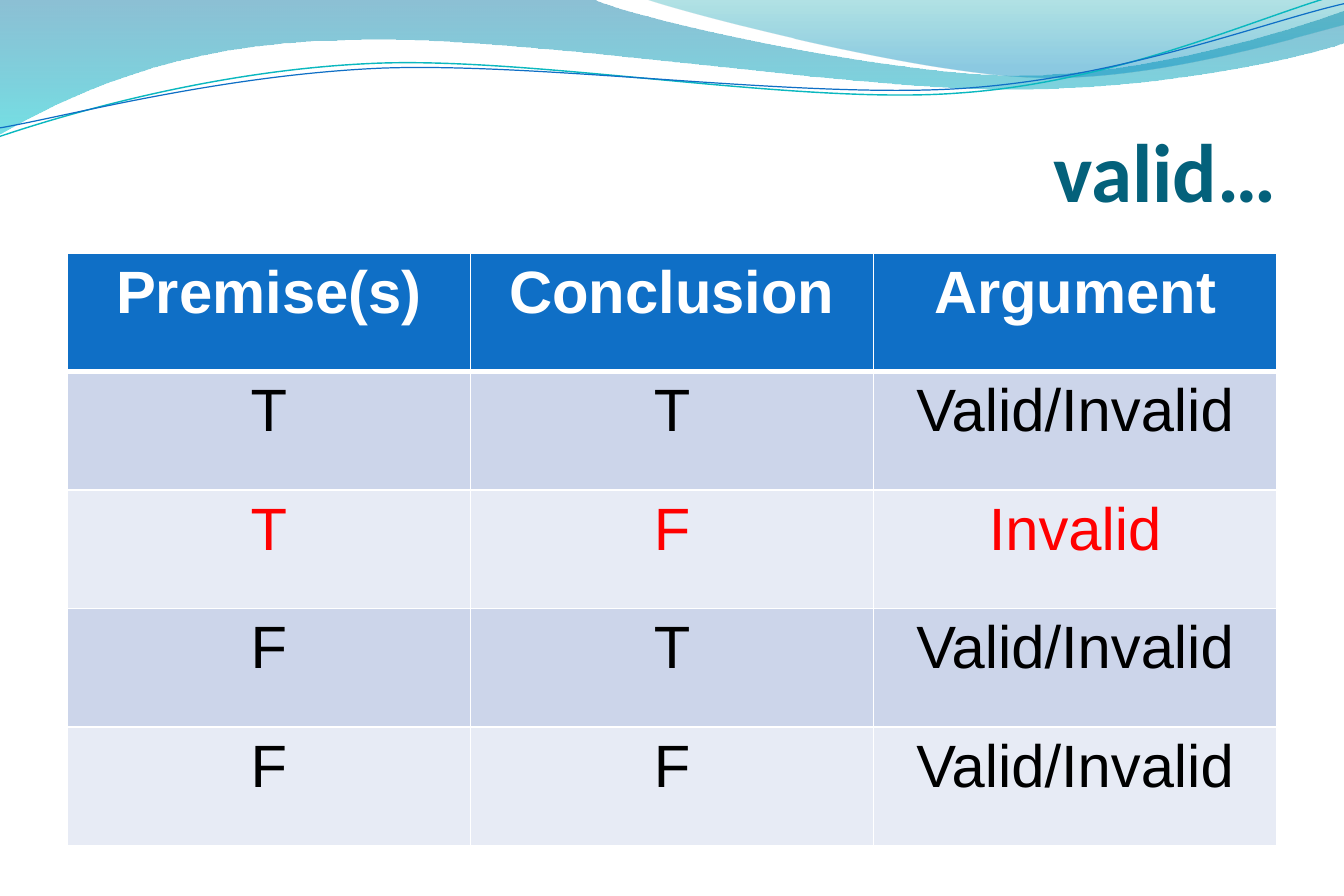
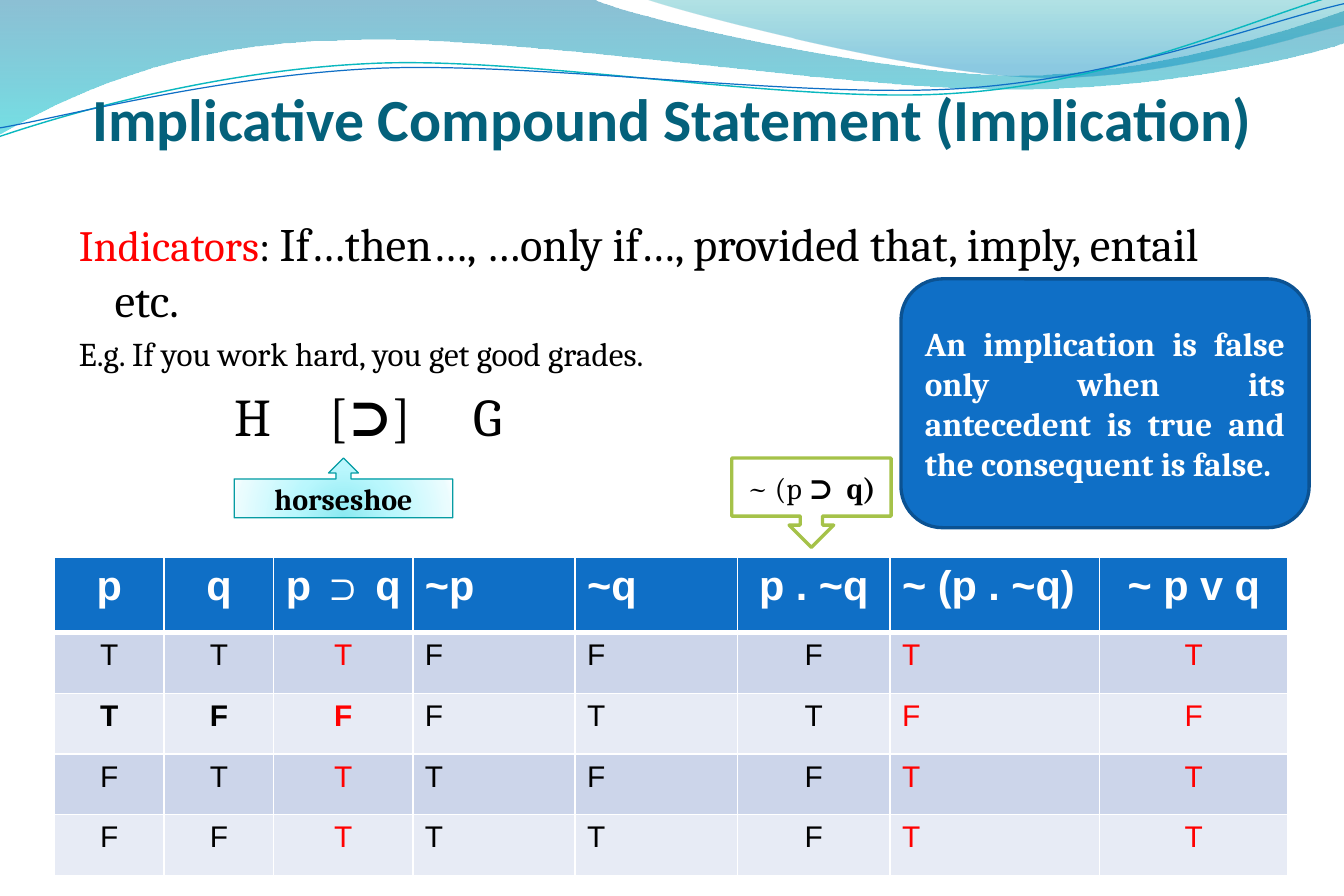
from lxml import etree
from pptx import Presentation
from pptx.dml.color import RGBColor
from pptx.enum.shapes import MSO_SHAPE
from pptx.enum.text import MSO_ANCHOR, PP_ALIGN
from pptx.oxml.ns import qn
from pptx.util import Cm, Pt

LEFT, CENTER, RIGHT, JUSTIFY = PP_ALIGN.LEFT, PP_ALIGN.CENTER, PP_ALIGN.RIGHT, PP_ALIGN.JUSTIFY
MIDDLE = MSO_ANCHOR.MIDDLE
ROUNDED = MSO_SHAPE.ROUNDED_RECTANGLE
UP_CALLOUT, DOWN_CALLOUT = MSO_SHAPE.UP_ARROW_CALLOUT, MSO_SHAPE.DOWN_ARROW_CALLOUT

# Shared look
BLUE, TEAL, RED, BLACK, WHITE = "0F6FC6", "04617B", "FF0000", "000000", "FFFFFF"
BANDS = ("CCD5EA", "E7EBF5")
TITLE_FONT, BODY_FONT, TABLE_FONT = "Calibri", "Cambria", "Arial"
TITLE_LEFT, TITLE_WIDTH, TITLE_HEIGHT = 1.43, 25.72, 3.18

# Wave outlines in cm: a start, then one point for a line or three for a curve
BROAD_WAVE = [
    [(0, -0.03)],
    [(12.57, -0.03)],
    [(13.59, 0.43), (18.95, 1.6), (21.67, 1.6)],
    [(24.38, 1.6), (27.38, 0.66), (28.58, 0.23)],
    [(28.6, 0.91)],
    [(28.09, 1.12), (24.87, 1.93), (21.31, 1.9)],
    [(17.78, 1.9), (10.9, 0.71), (7.34, 0.86)],
    [(3.68, 0.89), (1.32, 2.11), (-0.03, 2.87)],
]
RIGHT_WAVE = [
    [(13.69, -0.03)],
    [(14.55, 0.28), (19.48, 1.57), (21.97, 1.65)],
    [(24.46, 1.75), (27.48, 0.81), (28.58, 0.53)],
    [(28.58, 0)],
]
TEAL_LINE = [
    [(0, 2.9)],
    [(1.37, 2.44), (4.52, 1.5), (7.9, 1.35)],
    [(11.3, 1.19), (16.92, 2.24), (20.37, 1.98)],
    [(23.8, 1.75), (26.82, 0.33), (28.52, -0.13)],
]
BLUE_LINE = [
    [(0, 2.72)],
    [(1.35, 2.49), (4.67, 1.6), (8.1, 1.45)],
    [(11.51, 1.32), (17.07, 2.11), (20.47, 1.88)],
    [(23.9, 1.65), (26.9, 0.46), (28.58, 0.08)],
]


def colour(value):
    return RGBColor.from_string(value)


def add_child(parent, tag, **attributes):
    child = etree.SubElement(parent, qn(tag))
    for name, value in attributes.items():
        child.set(name, str(value))
    return child


def add_colour(parent, value, opacity=100):
    node = add_child(parent, "a:srgbClr", val=value)
    if opacity < 100:
        add_child(node, "a:alpha", val=opacity * 1000)


def add_span(para, text, size=18, font=BODY_FONT, color=BLACK, bold=False):
    span = para.add_run()
    span.text = text
    span.font.size = Pt(size)
    span.font.name = font
    span.font.bold = bold
    span.font.color.rgb = colour(color)


def set_line(shape, color, width):
    shape.line.color.rgb = colour(color)
    shape.line.width = Pt(width)


def set_gradient(shape, stops, radial=False):
    """Stops are (percent, colour, opacity); runs downwards unless radial."""
    shape.fill.gradient()
    gradient = shape.element.spPr.find(qn("a:gradFill"))
    gradient.clear()
    stop_list = add_child(gradient, "a:gsLst")
    for position, color, opacity in stops:
        add_colour(add_child(stop_list, "a:gs", pos=position * 1000), color, opacity)
    if radial:
        circle = add_child(gradient, "a:path", path="circle")
        add_child(circle, "a:fillToRect", l=50000, t=130000, r=50000, b=-30000)
    else:
        add_child(gradient, "a:lin", ang=5400000, scaled=1)


# Waves, kept on the layout
def add_wave(page, outline, closed):
    points = [(Cm(x), Cm(y)) for segment in outline for x, y in segment]
    builder = page.shapes.build_freeform(*points[0])
    builder.add_line_segments(points[1:], close=closed)
    wave = builder.convert_to_shape()
    wave.shadow.inherit = False
    # Turn each run of three corners into one smooth curve
    corners = iter(list(wave.element.spPr.iter(qn("a:lnTo"))))
    for segment in outline[1:]:
        parts = [next(corners) for _ in segment]
        if len(parts) == 3:
            curve = etree.Element(qn("a:cubicBezTo"))
            parts[0].addprevious(curve)
            for part in parts:
                curve.append(part[0])
                part.getparent().remove(part)
    return wave


def add_waves(page):
    waves = []
    for outline, stops in (
        (BROAD_WAVE, [(0, "0074A1", 45), (100, "00C6CF", 55)]),
        (RIGHT_WAVE, [(0, "00A1A9", 30), (80, "008BBF", 45)]),
    ):
        wave = add_wave(page, outline, closed=True)
        set_gradient(wave, stops)
        wave.line.fill.background()
        waves.append(wave)
    for outline, color, width in ((TEAL_LINE, "0AB8BF", 0.85), (BLUE_LINE, BLUE, 0.75)):
        wave = add_wave(page, outline, closed=False)
        wave.fill.background()
        set_line(wave, color, width)
        waves.append(wave)
    # Behind the placeholders of the layout, so every page shows them
    tree = page.slide_layout.shapes.element
    for number, wave in enumerate(waves):
        wave.element.nvSpPr.cNvPr.set("id", str(100 + number))
        tree.insert(2 + number, wave.element)


# Page parts
def set_title(page, text, top, size, align):
    title = page.shapes.title
    title.left, title.top = Cm(TITLE_LEFT), Cm(top)
    title.width, title.height = Cm(TITLE_WIDTH), Cm(TITLE_HEIGHT)
    frame = title.text_frame
    frame.vertical_anchor = MIDDLE
    frame.margin_left = frame.margin_right = frame.margin_bottom = 0
    frame.margin_top = Cm(0.13)
    para = frame.paragraphs[0]
    para.alignment = align
    add_span(para, text, size=size, font=TITLE_FONT, color=TEAL, bold=True)


def format_cell(cell, fill, bottom_width):
    properties = cell._tc.get_or_add_tcPr()
    for side, width in (("L", 1), ("R", 1), ("T", 1), ("B", bottom_width)):
        border = add_child(properties, "a:ln" + side, w=Pt(width))
        add_colour(add_child(border, "a:solidFill"), WHITE)
    cell.fill.solid()
    cell.fill.fore_color.rgb = colour(fill)


def add_grid(page, left, top, widths, heights, rows, sizes, style):
    """sizes: header and body; style(row, column) gives colour, bold and align."""
    table = page.shapes.add_table(len(rows), len(widths), Cm(left), Cm(top),
                                  Cm(sum(widths)), Cm(sum(heights))).table
    for column, width in zip(table.columns, widths):
        column.width = Cm(width)
    for r, values in enumerate(rows):
        table.rows[r].height = Cm(heights[r])
        header = r == 0
        for c, text in enumerate(values):
            cell = table.cell(r, c)
            color, bold, align = style(r, c)
            format_cell(cell, BLUE if header else BANDS[(r - 1) % 2], 3 if header else 1)
            para = cell.text_frame.paragraphs[0]
            para.alignment = align
            add_span(para, text, size=sizes[0] if header else sizes[1], font=TABLE_FONT,
                     color=WHITE if header else color, bold=header or bold)


def add_callout(page, kind, left, top, width, height, line, align=CENTER, fill=None):
    box = page.shapes.add_shape(kind, Cm(left), Cm(top), Cm(width), Cm(height))
    box.shadow.inherit = False
    if fill:
        box.fill.solid()
        box.fill.fore_color.rgb = colour(fill)
    set_line(box, *line)
    box.text_frame.word_wrap = True
    box.text_frame.vertical_anchor = MIDDLE
    para = box.text_frame.paragraphs[0]
    para.alignment = align
    return box, para


def add_body(page):
    frame = page.shapes.add_textbox(Cm(TITLE_LEFT), Cm(4.45), Cm(TITLE_WIDTH),
                                    Cm(12.19)).text_frame
    frame.word_wrap = True
    indicators, example, formula = frame.paragraphs[0], frame.add_paragraph(), frame.add_paragraph()
    for para, space in ((indicators, 5.6), (example, 4), (formula, 6.4)):
        para.space_before = Pt(space)
    for para in (indicators, example):
        properties = para._p.get_or_add_pPr()
        properties.set("marL", str(Cm(0.76)))
        properties.set("indent", str(-Cm(0.76)))
    add_span(indicators, "Indicators", size=26, color=RED)
    add_span(indicators, ": ", size=26)
    add_span(indicators, "If…then…, …only if…, provided that, imply, entail etc.", size=28)
    add_span(example, "E.g. If you work hard, you get good grades.", size=20)
    tabs = add_child(formula._p.get_or_add_pPr(), "a:tabLst")
    for position in (3.3, 5.33, 8.38):
        add_child(tabs, "a:tab", pos=Cm(position), algn="l")
    add_span(formula, "\tH\t[", size=32)
    add_span(formula, "⊃", size=32, bold=True)
    add_span(formula, "]\tG", size=32)


# Pages
def fill_validity_page(page):
    set_title(page, "valid…", top=1.94, size=50, align=RIGHT)
    rows = [
        ("Premise(s)", "Conclusion", "Argument"),
        ("T", "T", "Valid/Invalid"),
        ("T", "F", "Invalid"),
        ("F", "T", "Valid/Invalid"),
        ("F", "F", "Valid/Invalid"),
    ]
    add_grid(page, TITLE_LEFT, 5.38, [TITLE_WIDTH / 3] * 3, [2.52] * 5, rows, (36, 36),
             lambda row, column: (RED if row == 2 else BLACK, False, CENTER))


def fill_implication_page(page):
    set_title(page, "Implicative Compound Statement (Implication)", top=0.84, size=36,
              align=CENTER)
    add_body(page)
    rows = [("p", "q", "p ⊃ q", "~p", "~q", "p . ~q", "~ (p . ~q)", "~ p v q"),
            *("TTTFFFTT", "TFFFTTFF", "FTTTFFTT", "FFTTTFTT")]
    add_grid(page, 1.16, 11.85, [2.33, 2.33, 2.96, 3.45, 3.45, 3.25, 4.45, 4.01],
             [1.6] + [1.29] * 4, rows, (25, 18),
             lambda row, column: (RED if column in (2, 6, 7) else BLACK,
                                  row == 2 and column < 3,
                                  LEFT if column in (3, 4, 6) else CENTER))

    _, para = add_callout(page, ROUNDED, 19.16, 5.93, 8.68, 5.29, ("0B5292", 2), JUSTIFY, BLUE)
    add_span(para, "An implication is false only when its antecedent is true and "
             "the consequent is false.", size=20, color=WHITE, bold=True)

    horseshoe, para = add_callout(page, UP_CALLOUT, 4.98, 9.74, 4.65, 1.27, ("069CA3", 0.75))
    set_gradient(horseshoe, [(0, "8BE9F1", 100), (43, "B9F7FD", 100), (93, "EAFCFE", 100),
                             (100, "F8FEFF", 100)], radial=True)
    add_span(para, "horseshoe", bold=True)

    _, para = add_callout(page, DOWN_CALLOUT, 15.56, 9.74, 3.39, 1.9, ("A5C249", 2), fill=WHITE)
    add_span(para, "~ (p ")
    add_span(para, "⊃  q)", bold=True)


def main():
    deck = Presentation()
    deck.slide_width, deck.slide_height = Cm(28.58), Cm(19.05)
    layout = deck.slide_layouts[5]
    validity, implication = (deck.slides.add_slide(layout) for _ in range(2))
    add_waves(validity)
    fill_validity_page(validity)
    fill_implication_page(implication)
    deck.save("out.pptx")


if __name__ == "__main__":
    main()
